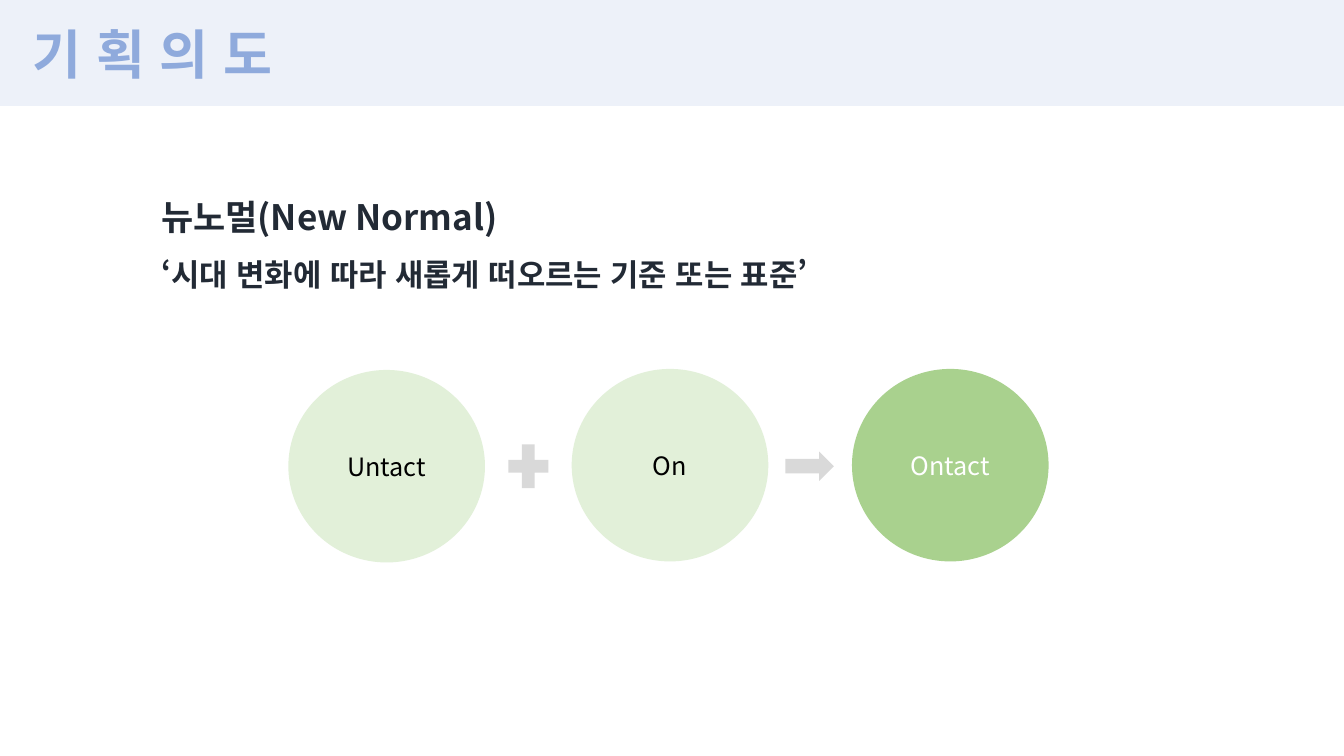
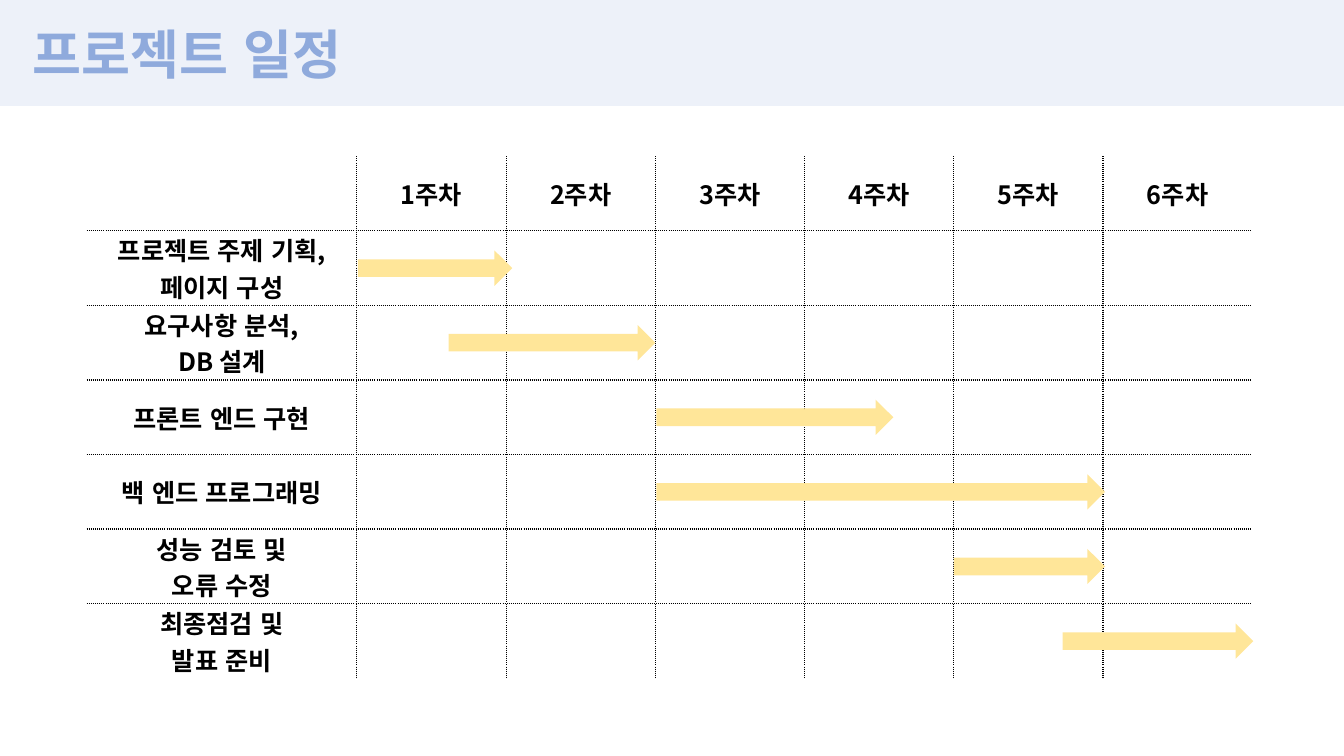
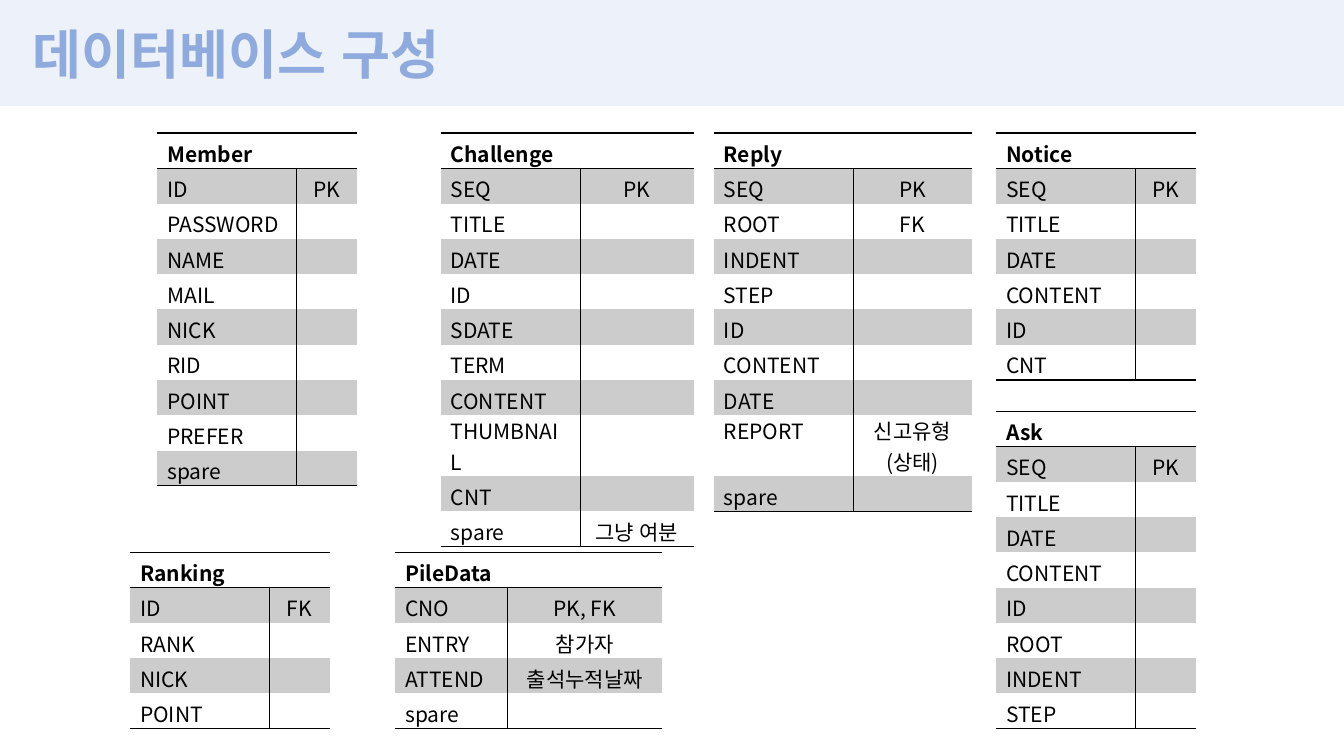
from lxml import etree
from pptx import Presentation
from pptx.dml.color import RGBColor
from pptx.enum import lang, shapes, text
from pptx.oxml.ns import qn
from pptx.util import Inches, Pt

BAND_BLUE = RGBColor(0xED, 0xF1, 0xF9)
TITLE_BLUE = RGBColor(0x8F, 0xAA, 0xDC)
NAVY = RGBColor(0x22, 0x2A, 0x35)
BLACK = RGBColor(0, 0, 0)
WHITE = RGBColor(255, 255, 255)
PALE_GREEN = RGBColor(0xE2, 0xF0, 0xD9)
GREEN = RGBColor(0xA9, 0xD1, 0x8E)
LIGHT_GRAY = RGBColor(0xD9, 0xD9, 0xD9)
STRIPE_GRAY = RGBColor(0xCC, 0xCC, 0xCC)
YELLOW = RGBColor(0xFF, 0xE6, 0x99)

BODY_FONT = "Noto Sans CJK KR"
TITLE_FONT = "Arial"
SLIDE_WIDTH, SLIDE_HEIGHT = 13.33, 7.5
NO_STYLE_NO_GRID = "{2D5ABB26-0587-4C30-8999-92F81FD0307C}"

# Content: concept slide
HEADINGS = [("뉴노멀(New Normal)", 25), ("‘시대 변화에 따라 새롭게 떠오르는 기준 또는 표준’", 22)]
CIRCLES = [  # label, left, top, fill, text colour
    ("Untact", 2.86, 3.67, PALE_GREEN, BLACK),
    ("On", 5.67, 3.66, PALE_GREEN, BLACK),
    ("Ontact", 8.45, 3.66, GREEN, WHITE),
]

# Content: schedule slide
WEEK_COUNT = 6
TASKS = [  # label, arrow left, arrow width
    ("프로젝트 주제 기획,\n페이지 구성", 3.55, 1.53),
    ("요구사항 분석,\nDB 설계", 4.45, 2.05),
    ("프론트 엔드 구현", 6.51, 2.35),
    ("백 엔드 프로그래밍", 6.51, 4.45),
    ("성능 검토 및\n오류 수정", 9.46, 1.5),
    ("최종점검 및\n발표 준비", 10.54, 1.89),
]
SCHEDULE_LEFT, SCHEDULE_TOP = 0.86, 1.55
TASK_WIDTH, WEEK_WIDTH, WEEK_ROW = 2.68, 1.48, 0.74
ARROW_HEIGHT = 0.35

# Content: database slide
ENTITY_ROW = 0.35
TWO_LINE_FIELDS = ("THUMBNAIL", "REPORT")
ENTITIES = [  # name, left, top, column widths, fields, key or remark by field
    ("Member", 1.56, 1.32, (1.38, 0.6),
     "ID PASSWORD NAME MAIL NICK RID POINT PREFER spare", {"ID": "PK"}),
    ("Challenge", 4.37, 1.32, (1.38, 1.13),
     "SEQ TITLE DATE ID SDATE TERM CONTENT THUMBNAIL CNT spare",
     {"SEQ": "PK", "spare": "그냥 여분"}),
    ("Reply", 7.08, 1.32, (1.38, 1.18),
     "SEQ ROOT INDENT STEP ID CONTENT DATE REPORT spare",
     {"SEQ": "PK", "ROOT": "FK", "REPORT": "신고유형(상태)"}),
    ("Notice", 9.88, 1.32, (1.38, 0.6), "SEQ TITLE DATE CONTENT ID CNT", {"SEQ": "PK"}),
    ("Ask", 9.88, 4.08, (1.38, 0.6),
     "SEQ TITLE DATE CONTENT ID ROOT INDENT STEP", {"SEQ": "PK"}),
    ("Ranking", 1.29, 5.48, (1.38, 0.6), "ID RANK NICK POINT", {"ID": "FK"}),
    ("PileData", 3.92, 5.48, (1.11, 1.54), "CNO ENTRY ATTEND spare",
     {"CNO": "PK, FK", "ENTRY": "참가자", "ATTEND": "출석누적날짜"}),
]


def write(paragraph, content, size=18, color=BLACK, bold=False, font=BODY_FONT,
          align=text.PP_ALIGN.LEFT, line_spacing=None):
    paragraph.alignment = align
    if line_spacing:
        paragraph.line_spacing = line_spacing
    if not content:
        etree.SubElement(paragraph._p, qn("a:endParaRPr"), sz=str(size * 100))
        return
    run = paragraph.add_run()
    run.text = content
    run.font.size = Pt(size)
    run.font.bold = bold
    run.font.language_id = lang.MSO_LANGUAGE_ID.KOREAN
    run.font.color.rgb = color
    run.font.name = font
    east_asian = etree.SubElement(run._r.get_or_add_rPr(), qn("a:ea"))
    east_asian.set("typeface", font)


def write_lines(frame, content, **style):
    """Write each line of content as a paragraph of its own."""
    for index, line in enumerate(content.split("\n")):
        write(frame.add_paragraph() if index else frame.paragraphs[0], line, **style)


def add_filled_shape(slide, kind, left, top, width, height, fill):
    shape = slide.shapes.add_shape(kind, Inches(left), Inches(top), Inches(width), Inches(height))
    shape.shadow.inherit = False
    shape.fill.solid()
    shape.fill.fore_color.rgb = fill
    shape.line.fill.background()
    return shape


def add_titled_slide(presentation, title):
    slide = presentation.slides.add_slide(presentation.slide_layouts[5])
    band = add_filled_shape(slide, shapes.MSO_SHAPE.RECTANGLE, 0, 0, SLIDE_WIDTH, 1.05, BAND_BLUE)
    slide.shapes._spTree.insert(2, band._element)
    box = slide.shapes.title
    box.left, box.top, box.width, box.height = (Inches(n) for n in (0.22, 0.16, 6, 0.74))
    frame = box.text_frame
    frame.word_wrap = True
    frame.auto_size = text.MSO_AUTO_SIZE.NONE
    frame.vertical_anchor = text.MSO_ANCHOR.TOP
    write(frame.paragraphs[0], title, size=38, color=TITLE_BLUE, bold=True, font=TITLE_FONT)
    return slide


def add_plain_table(slide, left, top, widths, row_height, row_count):
    frame = slide.shapes.add_table(row_count, len(widths), Inches(left), Inches(top),
                                   Inches(sum(widths)), Inches(row_height * row_count))
    table = frame.table
    table.first_row = table.horz_banding = False
    table._tbl.tblPr.find(qn("a:tableStyleId")).text = NO_STYLE_NO_GRID
    for column, width in zip(table.columns, widths):
        column.width = Inches(width)
    for row in table.rows:
        row.height = Inches(row_height)
    return table


def format_cell(cell, borders, anchor, dash="solid", fill=None):
    """Set borders, a dict from side (L, R, T, B) to points, then the anchor and fill."""
    properties = cell._tc.get_or_add_tcPr()
    for side in "LRTB":
        if side in borders:
            line = etree.SubElement(properties, qn(f"a:ln{side}"), w=str(Pt(borders[side])))
            solid = etree.SubElement(line, qn("a:solidFill"))
            etree.SubElement(solid, qn("a:srgbClr"), val=str(BLACK))
            etree.SubElement(line, qn("a:prstDash"), val=dash)
    cell.margin_top = cell.margin_bottom = 0
    cell.vertical_anchor = anchor
    if fill is None:
        cell.fill.background()
    else:
        cell.fill.solid()
        cell.fill.fore_color.rgb = fill


def build_concept(presentation):
    slide = add_titled_slide(presentation, "기 획 의 도")
    box = slide.shapes.add_textbox(Inches(1.47), Inches(1.6), Inches(8.01), Inches(1.31))
    frame = box.text_frame
    frame.word_wrap = True
    frame.margin_left = frame.margin_right = Inches(0.13)
    frame.margin_top = frame.margin_bottom = Inches(0.13)
    for index, (heading, size) in enumerate(HEADINGS):
        write(frame.add_paragraph() if index else frame.paragraphs[0], heading,
              size=size, color=NAVY, bold=True, line_spacing=1.5)

    for label, left, top, fill, color in CIRCLES:
        circle = add_filled_shape(slide, shapes.MSO_SHAPE.OVAL, left, top, 1.95, 1.91, fill)
        circle.text_frame.vertical_anchor = text.MSO_ANCHOR.MIDDLE
        write_lines(circle.text_frame, label, color=color, align=text.PP_ALIGN.CENTER)
    add_filled_shape(slide, shapes.MSO_SHAPE.MATH_PLUS, 4.97, 4.33, 0.54, 0.59, LIGHT_GRAY)
    add_filled_shape(slide, shapes.MSO_SHAPE.RIGHT_ARROW, 7.79, 4.48, 0.48, 0.29, LIGHT_GRAY)


def build_schedule(presentation):
    slide = add_titled_slide(presentation, "프로젝트 일정")
    rows = [[""] + [f"{week}주차" for week in range(1, WEEK_COUNT + 1)]]
    rows += [[label] + [""] * WEEK_COUNT for label, _, _ in TASKS]
    table = add_plain_table(slide, SCHEDULE_LEFT, SCHEDULE_TOP,
                            [TASK_WIDTH] + [WEEK_WIDTH] * WEEK_COUNT, WEEK_ROW, len(rows))
    for row_index, row in enumerate(rows):
        for column_index, content in enumerate(row):
            cell = table.cell(row_index, column_index)
            write_lines(cell.text_frame, content, bold=True, align=text.PP_ALIGN.CENTER)
            inner_sides = {"L": column_index > 0, "R": column_index < WEEK_COUNT,
                           "T": row_index > 0, "B": row_index < len(TASKS)}
            format_cell(cell, {side: 1 for side, inner in inner_sides.items() if inner},
                        text.MSO_ANCHOR.MIDDLE, dash="sysDot")

    first_arrow_top = SCHEDULE_TOP + WEEK_ROW + (WEEK_ROW - ARROW_HEIGHT) / 2
    for index, (_, left, width) in enumerate(TASKS):
        add_filled_shape(slide, shapes.MSO_SHAPE.RIGHT_ARROW, left,
                         first_arrow_top + index * WEEK_ROW, width, ARROW_HEIGHT, YELLOW)


def add_entity(slide, name, left, top, widths, fields, remarks):
    fields = fields.split()
    table = add_plain_table(slide, left, top, widths, ENTITY_ROW, len(fields) + 1)
    header = table.cell(0, 0)
    header.merge(table.cell(0, 1))
    write_lines(header.text_frame, name, size=15, bold=True)
    format_cell(header, {"T": 1, "B": 1}, text.MSO_ANCHOR.BOTTOM)
    for row_index, field in enumerate(fields, 1):
        field_cell, remark_cell = table.cell(row_index, 0), table.cell(row_index, 1)
        write_lines(field_cell.text_frame, field, size=15)
        write_lines(remark_cell.text_frame, remarks.get(field, ""), size=15,
                    align=text.PP_ALIGN.CENTER)
        edges = {"B": 1} if row_index == len(fields) else {}
        anchor = text.MSO_ANCHOR.TOP if field in TWO_LINE_FIELDS else text.MSO_ANCHOR.BOTTOM
        fill = STRIPE_GRAY if row_index % 2 else None
        format_cell(field_cell, {"R": 0.25, **edges}, anchor, fill=fill)
        format_cell(remark_cell, {"L": 0.25, **edges}, anchor, fill=fill)


def build_database(presentation):
    slide = add_titled_slide(presentation, "데이터베이스 구성")
    for entity in ENTITIES:
        add_entity(slide, *entity)


def main():
    presentation = Presentation()
    presentation.slide_width = Inches(SLIDE_WIDTH)
    presentation.slide_height = Inches(SLIDE_HEIGHT)
    build_concept(presentation)
    build_schedule(presentation)
    build_database(presentation)
    presentation.save("out.pptx")


if __name__ == "__main__":
    main()
